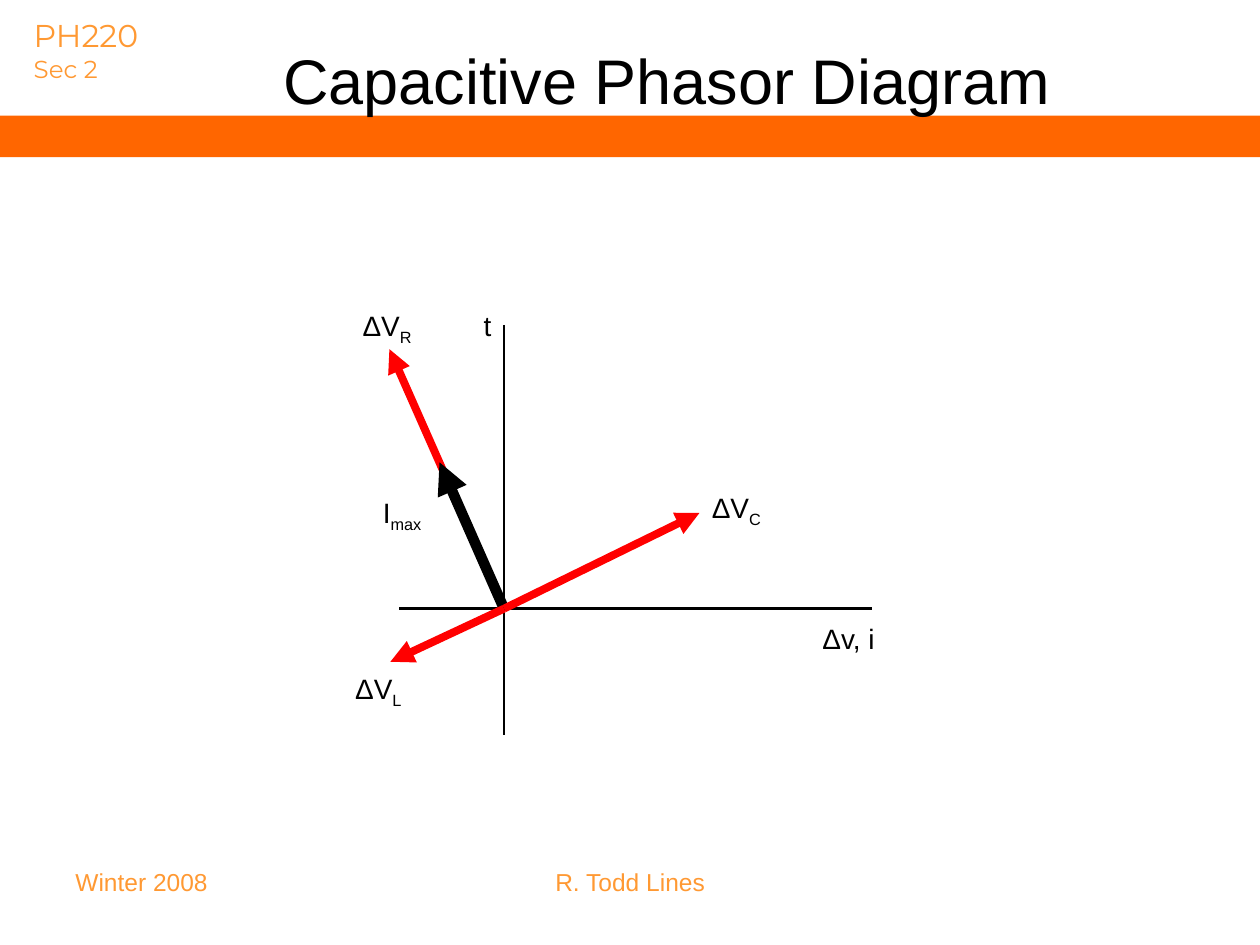
import pptx
import pptx.dml.color
import pptx.enum.shapes
import pptx.enum.text
import pptx.oxml.ns
import pptx.util
from lxml import etree

Cm = pptx.util.Cm
ALIGN = pptx.enum.text.PP_ALIGN
ANCHOR = pptx.enum.text.MSO_ANCHOR
ORANGE, AMBER, BLACK, RED = "FF6600", "FF9933", "000000", "FF0000"


def paint(color_format, hex_color):
    color_format.rgb = pptx.dml.color.RGBColor.from_string(hex_color)


def apply_format(target, values):
    for name, value in values.items():
        setattr(target, name, value)


def write(paragraph, text, size, color, font="Arial", subscript=""):
    for part, baseline in ((text, None), (subscript, "-25000")):
        if not part:
            continue
        run = paragraph.add_run()
        run.text = part
        apply_format(run.font, {"name": font, "size": pptx.util.Pt(size)})
        paint(run.font.color, color)
        if baseline:
            run._r.get_or_add_rPr().set("baseline", baseline)


def add_text_box(slide, box, wrap=True, align=ALIGN.LEFT):
    frame = slide.shapes.add_textbox(*map(Cm, box)).text_frame
    apply_format(frame, {"word_wrap": wrap, "vertical_anchor": ANCHOR.TOP})
    frame.paragraphs[0].alignment = align
    return frame


def add_line(slide, start, end, color, width, arrow=False):
    line = slide.shapes.add_connector(
        pptx.enum.shapes.MSO_CONNECTOR.STRAIGHT, *map(Cm, (*start, *end)))
    line.line.width = pptx.util.Pt(width)
    paint(line.line.color, color)
    properties = line.element.spPr
    if arrow:
        etree.SubElement(line.line._get_or_add_ln(),
                         pptx.oxml.ns.qn("a:tailEnd"), type="triangle")
    etree.SubElement(properties, pptx.oxml.ns.qn("a:effectLst"))


def add_header(slide, left, top, width):
    course = add_text_box(slide, (left + 0.43, top + 0.2, 2.77, 1.6), wrap=False)
    write(course.paragraphs[0], "PH220", 18, AMBER, "Montserrat")
    write(course.add_paragraph(), "Sec 2", 14, AMBER, "Montserrat")

    band = slide.shapes.add_shape(
        pptx.enum.shapes.MSO_SHAPE.RECTANGLE,
        *map(Cm, (left, top + 2.33, width, 0.84)))
    band.shadow.inherit = False
    band.fill.solid()
    paint(band.fill.fore_color, ORANGE)
    band.line.fill.background()

    title = slide.shapes.title
    apply_format(title, {"left": Cm(left + 4.45), "top": Cm(top),
                         "width": Cm(17.98), "height": Cm(3.18)})
    apply_format(title.text_frame, {"vertical_anchor": ANCHOR.MIDDLE,
                                    "word_wrap": True})
    heading = title.text_frame.paragraphs[0]
    heading.alignment = ALIGN.CENTER
    write(heading, "Capacitive Phasor Diagram", 36, BLACK)
    band.element.addnext(title.element)


def add_phasors(slide, left, top):
    origin_x, origin_y = left + 3.26, top + 6.17

    def at(x, y):
        return origin_x + x, origin_y + y

    center = at(0, 0)
    add_line(slide, center, at(-2.31, -5.23), RED, 4.5, arrow=True)
    add_line(slide, at(0, -5.72), at(0, 2.54), BLACK, 1.5)
    add_line(slide, at(-2.11, 0), at(7.42, 0), BLACK, 1.5)
    for tip, color, width in (((-1.3, -2.95), BLACK, 6),
                              ((3.94, -1.93), RED, 4.5),
                              ((-2.29, 1.07), RED, 4.5)):
        add_line(slide, center, at(*tip), color, width, arrow=True)

    labels = [
        ("ΔV", "R", -3.1, -6.17, 1.96, True),
        ("t", "", -0.66, -6.17, 0.66, False),
        ("Δv, i", "", 6.17, 0.13, 1.57, False),
        ("I", "max", -2.69, -2.41, 1.96, True),
        ("ΔV", "C", 3.94, -2.51, 1.96, True),
        ("ΔV", "L", -3.25, 1.14, 1.96, True),
    ]
    for text, subscript, x, y, width, wrap in labels:
        label = add_text_box(slide, (*at(x, y), width, 0.94), wrap)
        write(label.paragraphs[0], text, 16, BLACK, subscript=subscript)


def add_footer(slide, left, top):
    for text, x, width, align in (("Winter 2008", 0, 5.92, ALIGN.LEFT),
                                  ("R. Todd Lines", 7.41, 8.05, ALIGN.CENTER)):
        note = add_text_box(slide, (left + x, top, width, 1.32), align=align)
        write(note.paragraphs[0], text, 14, AMBER)


def main():
    deck = pptx.Presentation()
    apply_format(deck, {"slide_width": Cm(25.4), "slide_height": Cm(19.05)})
    slide = deck.slides.add_slide(deck.slide_layouts.get_by_name("Title Only"))
    add_header(slide, 0, 0, 25.4)
    add_footer(slide, 1.27, 17.35)
    add_phasors(slide, 6.9, 6.1)
    deck.save("out.pptx")


if __name__ == "__main__":
    main()
